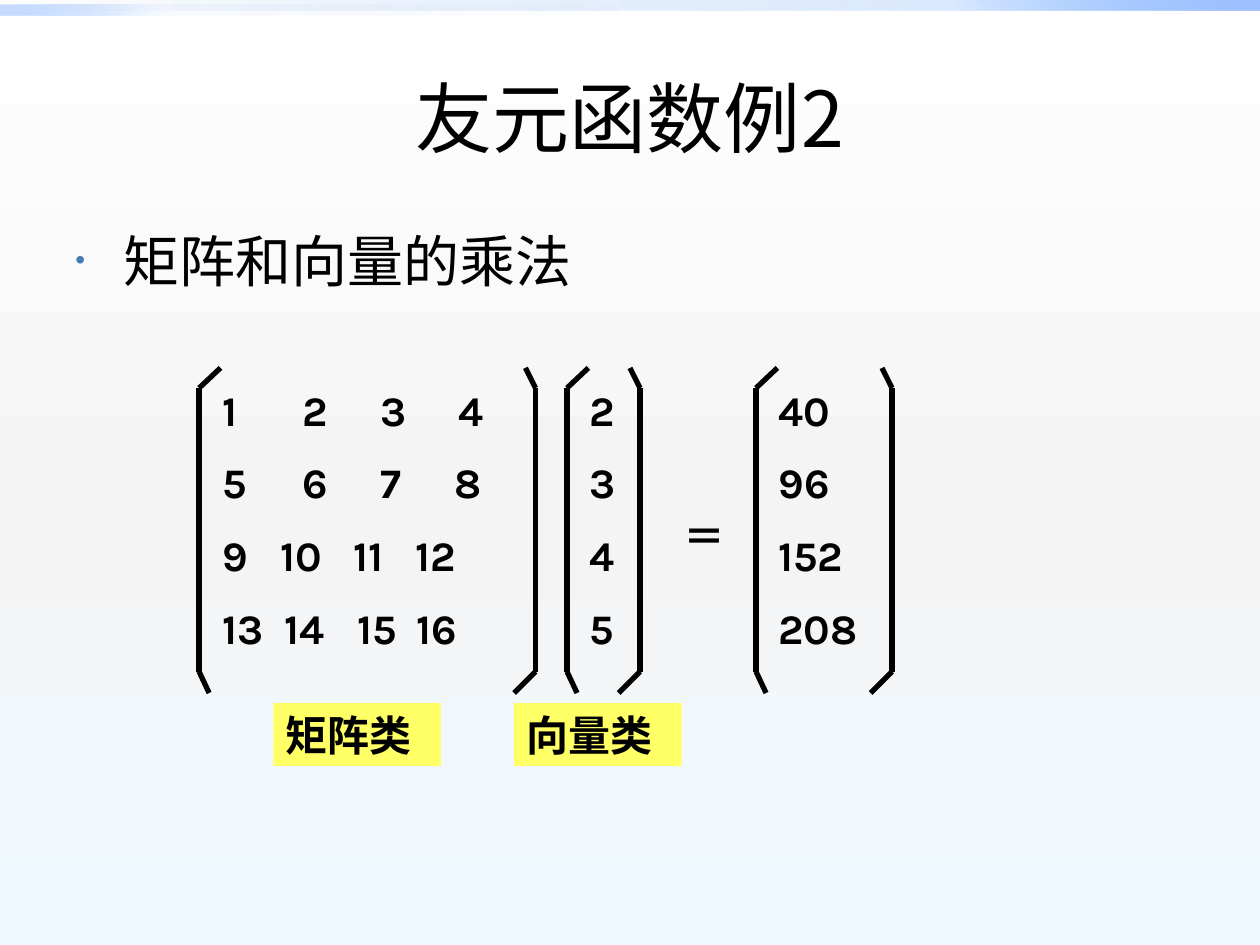
from lxml import etree
from pptx import Presentation
from pptx.dml.color import RGBColor
from pptx.enum import shapes, text
from pptx.oxml import ns
from pptx.util import Inches, Pt

BLACK = RGBColor(0x00, 0x00, 0x00)
YELLOW = RGBColor(0xFF, 0xFF, 0x66)
BULLET = RGBColor(0x47, 0x7A, 0xB1)
WHITE = RGBColor(0xFF, 0xFF, 0xFF)
GREY = RGBColor(0xF4, 0xF4, 0xF4)
PALE = RGBColor(0xEE, 0xF9, 0xFF)
DEEP_BLUE = RGBColor(0x00, 0x58, 0xB7)
MID_BLUE = RGBColor(0x4F, 0x95, 0xFF)
SOFT_BLUE = RGBColor(0x9E, 0xC2, 0xFF)
CJK = "Noto Sans CJK SC"


def set_gradient(fill, root, stops, angle):
    """Give a fill any number of (position, colour, opacity) stops."""
    fill.gradient()
    grad = next(root.iter(ns.qn("a:gradFill")))
    stop_list = grad.find(ns.qn("a:gsLst"))
    for old in list(stop_list):
        stop_list.remove(old)
    for pos, color, alpha in stops:
        gs = etree.SubElement(stop_list, ns.qn("a:gs"), pos=str(pos * 1000))
        clr = etree.SubElement(gs, ns.qn("a:srgbClr"), val=str(color))
        if alpha < 100:
            etree.SubElement(clr, ns.qn("a:alpha"), val=str(alpha * 1000))
    lin = grad.find(ns.qn("a:lin"))
    lin.set("ang", str(angle * 60000))
    lin.set("scaled", "0")


def write(tf, lines, font="Karla", size=24, bold=True, wrap=True):
    """Fill a text frame with one paragraph per line."""
    tf.word_wrap = wrap
    for i, line in enumerate(lines):
        p = tf.paragraphs[0] if i == 0 else tf.add_paragraph()
        if i:
            p.space_before = Pt(12.8)
        r = p.add_run()
        r.text = line
        formats = {"name": font, "size": Pt(size), "bold": bold}
        for key, value in formats.items():
            setattr(r.font, key, value)
        r.font.color.rgb = BLACK
        ea = etree.SubElement(r._r.get_or_add_rPr(), ns.qn("a:ea"))
        ea.set("typeface", CJK)


prs = Presentation()
prs.slide_width, prs.slide_height = Inches(10), Inches(7.5)
s = prs.slides.add_slide(prs.slide_layouts[5])

# Background
set_gradient(s.background.fill, s._element,
             [(0, WHITE, 100), (55, GREY, 100), (100, PALE, 100)], 90)

# Bars along the top edge
for top, width, angle, alphas in [(0, 10, 315, (0, 20, 100)),
                                  (0.04, 5, 135, (0, 5, 60))]:
    sp = s.shapes.add_shape(shapes.MSO_SHAPE.RECTANGLE, Inches(0), Inches(top),
                            Inches(width), Inches(0.08))
    sp.shadow.inherit = False
    sp.line.fill.background()
    stops = zip((0, 75, 100), (DEEP_BLUE, MID_BLUE, SOFT_BLUE), alphas)
    set_gradient(sp.fill, sp._element, stops, angle)

# Title
title = s.shapes.title
title.left, title.top = Inches(0.5), Inches(0.3)
title.width, title.height = Inches(9), Inches(1.25)
title.text_frame.vertical_anchor = text.MSO_ANCHOR.MIDDLE
write(title.text_frame, ["友元函数例2"], CJK, 44, False)
title.text_frame.paragraphs[0].alignment = text.PP_ALIGN.CENTER

# Bulleted statement
body = s.shapes.add_textbox(Inches(0.5), Inches(1.75), Inches(9), Inches(0.75))
write(body.text_frame, ["矩阵和向量的乘法"], CJK, 32, False)
pPr = body.text_frame.paragraphs[0]._p.get_or_add_pPr()
pPr.set("marL", str(Inches(0.38)))
pPr.set("indent", str(Inches(-0.38)))
bu_clr = etree.SubElement(pPr, ns.qn("a:buClr"))
etree.SubElement(bu_clr, ns.qn("a:srgbClr"), val=str(BULLET))
etree.SubElement(pPr, ns.qn("a:buSzPct"), val="50000")
etree.SubElement(pPr, ns.qn("a:buFont"), typeface="Arial")
etree.SubElement(pPr, ns.qn("a:buChar"), char="•")

# Brackets: a right bracket is a left one turned by 180 degrees
TOP, UPPER, LOWER, BOTTOM = 2.92, 3.08, 5.33, 5.5
for left, right in [(1.58, 4.25), (4.5, 5.08), (6, 7.08)]:
    for x, side, ys in [(left, 1, (TOP, UPPER, LOWER, BOTTOM)),
                        (right, -1, (BOTTOM, LOWER, UPPER, TOP))]:
        points = list(zip((x + side * 0.17, x, x, x + side * 0.08), ys))
        bracket = s.shapes.add_group_shape()
        for (x1, y1), (x2, y2) in zip(points, points[1:]):
            line = bracket.shapes.add_connector(
                shapes.MSO_CONNECTOR.STRAIGHT,
                Inches(x1), Inches(y1), Inches(x2), Inches(y2))
            line.line.color.rgb = BLACK
            line.line.width = Pt(3)
            etree.SubElement(line._element.spPr, ns.qn("a:effectLst"))

# Matrix, with the column stops of each row
rows = [
    ("1\t2\t3\t4", (0.63, 1.25, 1.87)),
    ("5\t6\t7\t8", (0.63, 1.25, 1.84)),
    ("9\t10\t11\t12", (0.46, 1.04, 1.53)),
    ("13\t14\t15\t16", (0.49, 1.07, 1.54)),
]
matrix = s.shapes.add_textbox(Inches(1.67), Inches(3), Inches(2.67), Inches(2.3))
write(matrix.text_frame, [line for line, _ in rows])
for p, (_, stops) in zip(matrix.text_frame.paragraphs, rows):
    tabs = etree.SubElement(p._p.get_or_add_pPr(), ns.qn("a:tabLst"))
    for stop in stops:
        etree.SubElement(tabs, ns.qn("a:tab"), pos=str(Inches(stop)), algn="l")

# Vector, equals sign and product
for x, y, w, h, lines in [(4.58, 3, 0.5, 2.3, ["2", "3", "4", "5"]),
                          (5.33, 4, 0.75, 0.5, ["＝"]),
                          (6.08, 3, 1.08, 2.3, ["40", "96", "152", "208"])]:
    box = s.shapes.add_textbox(Inches(x), Inches(y), Inches(w), Inches(h))
    write(box.text_frame, lines)

# Class labels
for x, label in [(2.17, "矩阵类"), (4.08, "向量类")]:
    sp = s.shapes.add_shape(shapes.MSO_SHAPE.RECTANGLE, Inches(x), Inches(5.58),
                            Inches(1.33), Inches(0.5))
    sp.shadow.inherit = False
    sp.fill.solid()
    sp.fill.fore_color.rgb = YELLOW
    sp.line.fill.background()
    sp.text_frame.vertical_anchor = text.MSO_ANCHOR.TOP
    write(sp.text_frame, [label])
    sp.text_frame.paragraphs[0].alignment = text.PP_ALIGN.LEFT

prs.save("out.pptx")
